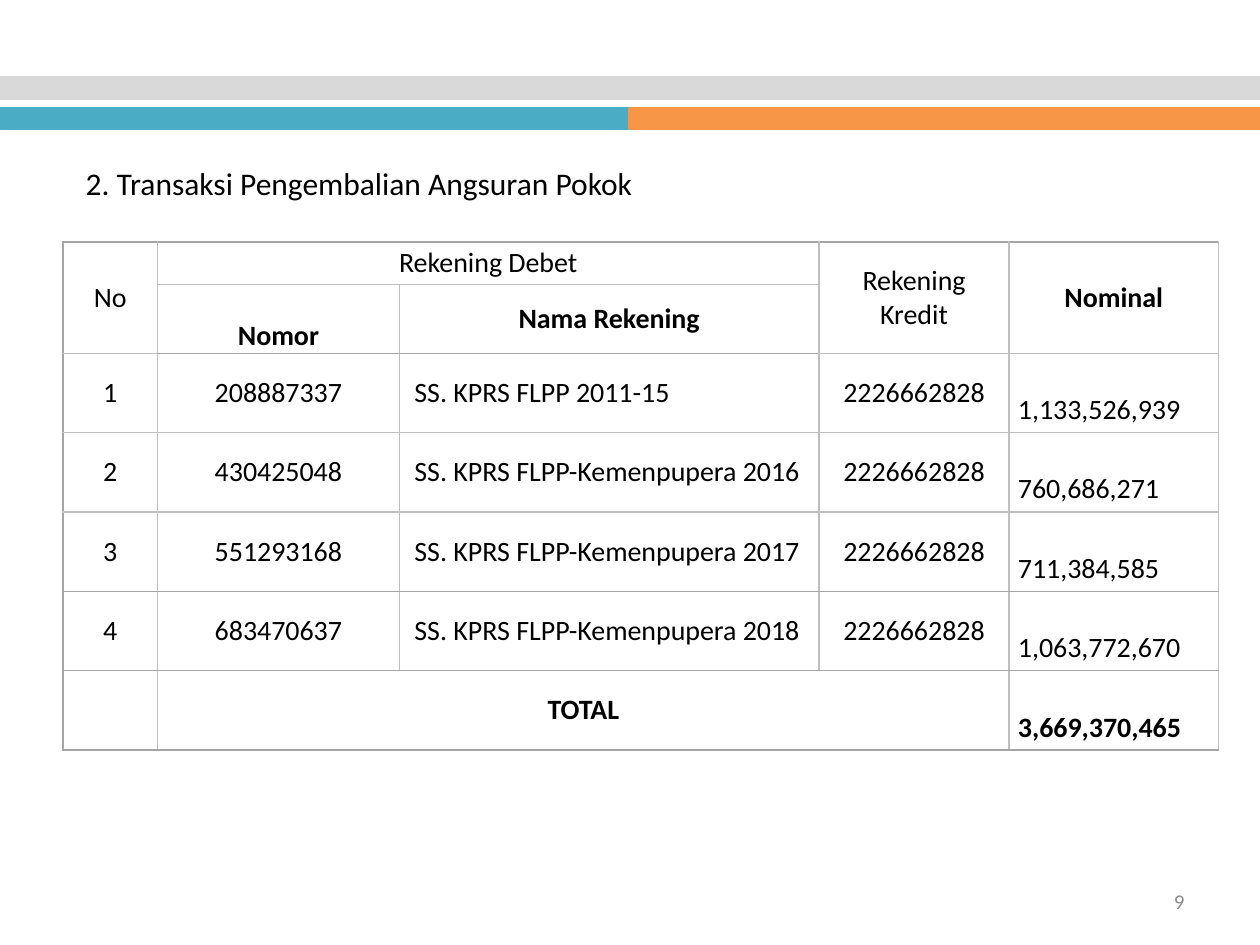
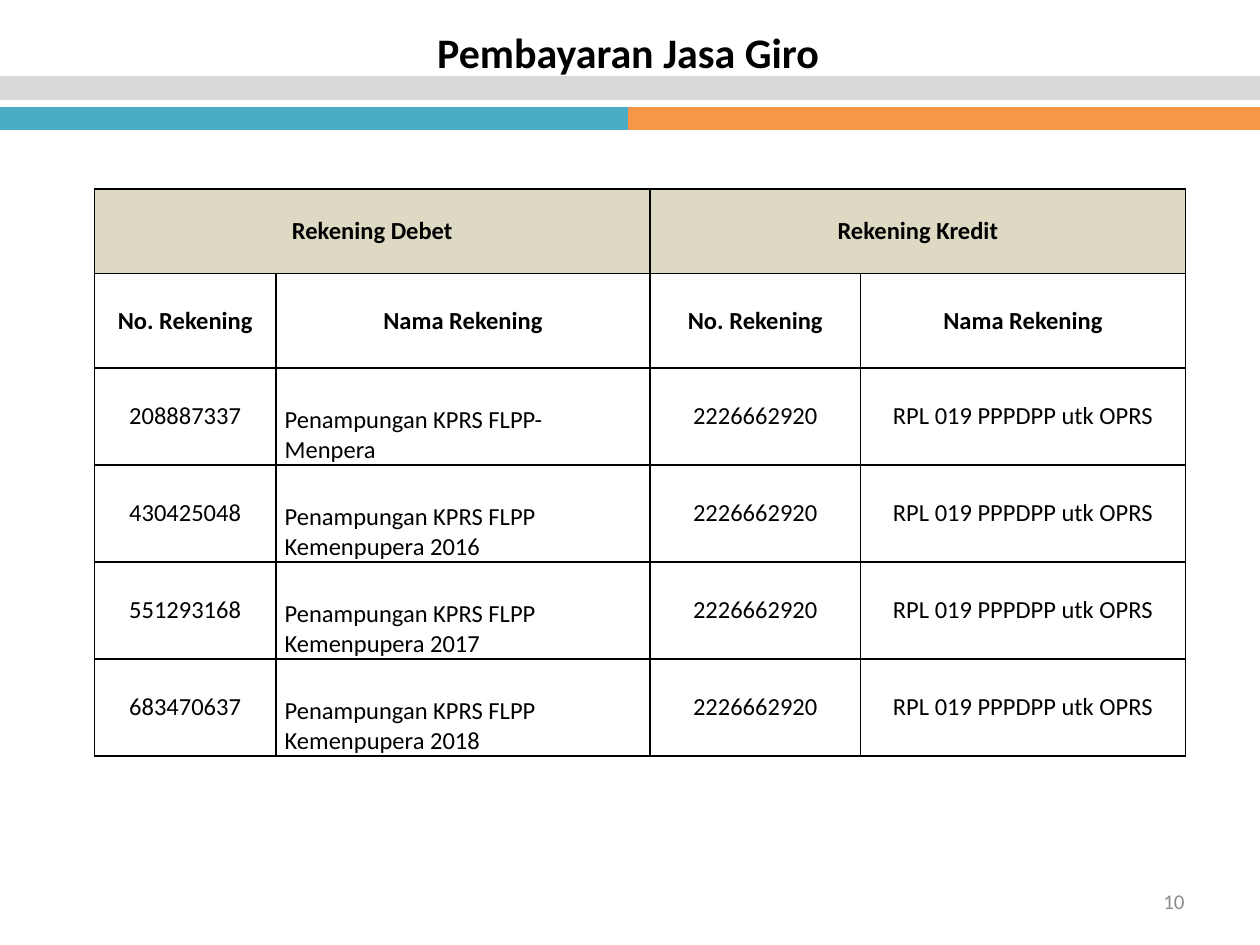
"""Build two slides on loan repayment and current account interest transfers."""
from lxml import etree
from pptx import Presentation
from pptx.dml.color import RGBColor
from pptx.enum import shapes, text
from pptx.oxml import ns
from pptx.util import Inches, Pt

TEAL = RGBColor(0x4B, 0xAC, 0xC6)
ORANGE = RGBColor(0xF7, 0x96, 0x46)
SILVER = RGBColor(0xD9, 0xD9, 0xD9)
SAND = RGBColor(0xDD, 0xD9, 0xC3)
BLACK = RGBColor(0, 0, 0)
PAGE_GRAY = RGBColor(0x8C, 0x8C, 0x8C)
RULE_LIGHT = RGBColor(0xBF, 0xBF, 0xBF)
RULE_DARK = RGBColor(0xA5, 0xA5, 0xA5)
FONT = "Calibri"

LEFT, CENTER, RIGHT = text.PP_ALIGN.LEFT, text.PP_ALIGN.CENTER, text.PP_ALIGN.RIGHT
MIDDLE, BOTTOM = text.MSO_ANCHOR.MIDDLE, text.MSO_ANCHOR.BOTTOM

FIRST_PAGE = 9
BANDS = [(0.01, 0.86, 4.99, TEAL), (5, 0.86, 5, ORANGE), (0, 0.62, 10, SILVER)]
BAND_HEIGHT = 0.16
CELL_INSET = 0.07
CENTERED = (CENTER, MIDDLE, CELL_INSET, 0)

ACCOUNTS = ["208887337", "430425048", "551293168", "683470637"]
PROGRAMS = ["SS. KPRS FLPP 2011-15"] + [
    f"SS. KPRS FLPP-Kemenpupera {year}" for year in (2016, 2017, 2018)]
AMOUNTS = ["1,133,526,939", "760,686,271", "711,384,585", "1,063,772,670"]
HOLDINGS = ["Penampungan KPRS FLPP-\nMenpera"] + [
    f"Penampungan KPRS FLPP Kemenpupera {year}" for year in (2016, 2017, 2018)]


def principal_rule(row, col):
    """Return the colour of the rule below a cell of the principal table."""
    dark = row == -1 or row >= 4 or (row == 1 and col in (1, 2))
    return RULE_DARK if dark else RULE_LIGHT


SLIDES = [
    {
        "title": ("2. Transaksi Pengembalian Angsuran Pokok", (0.58, 1.25, 5, 0.4), 18, False, LEFT),
        "corner": (0.5, 1.92),
        "columns": [0.75, 1.92, 3.33, 1.51, 1.66],
        "heights": [0.34, 0.35] + [0.63] * 5,
        "size": 16,
        "rows": [
            ["No", "Rekening Debet", "", "Rekening Kredit", "Nominal"],
            ["", "Nomor", "Nama Rekening", "", ""],
            *([str(number), account, program, "2226662828", amount]
              for number, (account, program, amount)
              in enumerate(zip(ACCOUNTS, PROGRAMS, AMOUNTS), 1)),
            ["", "TOTAL", "", "", "3,669,370,465"],
        ],
        "merges": [(0, 0, 1, 0), (0, 1, 0, 2), (0, 3, 1, 3), (0, 4, 1, 4), (6, 1, 6, 3)],
        "bold": {"Nominal", "Nomor", "Nama Rekening", "TOTAL", "3,669,370,465"},
        "header_rows": 2,
        "layouts": {2: (LEFT, MIDDLE, 0.12, 0), 4: (LEFT, MIDDLE, CELL_INSET, 0.27)},
        "exceptions": {(1, 1): (CENTER, BOTTOM, CELL_INSET, 0), (6, 1): CENTERED},
        "filled_rows": 0,
        "rule_below": principal_rule,
        "side_rules": (RULE_DARK, RULE_LIGHT),
    },
    {
        "title": ("Pembayaran Jasa Giro", (0.72, 0.16, 8.53, 0.5), 24, True, CENTER),
        "corner": (0.75, 1.5),
        "columns": [1.44, 2.97, 1.67, 2.58],
        "heights": [0.67, 0.75] + [0.77] * 4,
        "size": 14,
        "rows": [
            ["Rekening Debet", "", "Rekening Kredit", ""],
            ["No. Rekening", "Nama Rekening"] * 2,
            *([account, holding, "2226662920", "RPL 019 PPPDPP utk OPRS"]
              for account, holding in zip(ACCOUNTS, HOLDINGS)),
        ],
        "merges": [(0, 0, 0, 1), (0, 2, 0, 3)],
        "bold": {"Rekening Debet", "Rekening Kredit", "No. Rekening", "Nama Rekening"},
        "header_rows": 2,
        "layouts": {1: (LEFT, BOTTOM, CELL_INSET, 0)},
        "exceptions": {},
        "filled_rows": 1,
        "rule_below": lambda row, col: BLACK,
        "side_rules": (BLACK, BLACK),
    },
]


def style(frame, size, color=BLACK, bold=False, align=LEFT):
    """Format every paragraph of a text frame."""
    for para in frame.paragraphs:
        para.alignment = align
        para.font.name, para.font.size = FONT, Pt(size)
        para.font.color.rgb, para.font.bold = color, bold


def add_bands(page, layout):
    """Draw the header bands and hand them to the shared layout."""
    for number, (left, top, width, color) in enumerate(BANDS, 20):
        band = page.shapes.add_shape(shapes.MSO_SHAPE.RECTANGLE, Inches(left), Inches(top),
                                     Inches(width), Inches(BAND_HEIGHT))
        band.shadow.inherit = False
        band.fill.solid()
        band.fill.fore_color.rgb = band.line.color.rgb = color
        band.line.width = Pt(2)
        band.element.nvSpPr.cNvPr.set("id", str(number))
        layout.shapes.element.append(band.element)


def add_title(page, wording, place, size, bold, align):
    """Place and format the title placeholder."""
    title = page.shapes.title
    title.left, title.top, title.width, title.height = map(Inches, place)
    frame = title.text_frame
    frame.text = wording
    frame.word_wrap = True
    frame.auto_size = text.MSO_AUTO_SIZE.NONE
    frame.vertical_anchor = text.MSO_ANCHOR.TOP
    style(frame, size, bold=bold, align=align)


def add_page_number(page, number):
    """Write the page number in the lower right corner."""
    box = page.shapes.add_textbox(Inches(7.17), Inches(6.95), Inches(2.33), Inches(0.4))
    frame = box.text_frame
    frame.text = str(number)
    frame.word_wrap = True
    frame.vertical_anchor = MIDDLE
    style(frame, 12, PAGE_GRAY, align=RIGHT)


def set_borders(cell, colors):
    """Draw one-point borders in left, right, top, bottom order."""
    properties = cell._tc.get_or_add_tcPr()
    for side, color in zip("LRTB", colors):
        line = etree.SubElement(properties, ns.qn(f"a:ln{side}"), w=str(Pt(1)))
        fill = etree.SubElement(line, ns.qn("a:solidFill"))
        etree.SubElement(fill, ns.qn("a:srgbClr"), val=str(color))


def add_grid(page, content):
    """Build the account table of one slide."""
    columns, heights, rows = content["columns"], content["heights"], content["rows"]
    left, top = content["corner"]
    grid = page.shapes.add_table(len(rows), len(columns), Inches(left), Inches(top),
                                 Inches(sum(columns)), Inches(sum(heights))).table
    grid.first_row = grid.horz_banding = False
    for column, width in zip(grid.columns, columns):
        column.width = Inches(width)
    for line, height in zip(grid.rows, heights):
        line.height = Inches(height)

    outer_left, outer_right = content["side_rules"]
    rule_below = content["rule_below"]
    inner = rule_below(0, 0)
    for row, wordings in enumerate(rows):
        for col, wording in enumerate(wordings):
            cell = grid.cell(row, col)
            layout = CENTERED if row < content["header_rows"] else content["layouts"].get(col, CENTERED)
            align, anchor, inset, lead = content["exceptions"].get((row, col), layout)
            cell.text = wording
            cell.vertical_anchor = anchor
            cell.margin_left, cell.margin_right = Inches(inset), Inches(CELL_INSET)
            cell.margin_top, cell.margin_bottom = Inches(lead), 0
            style(cell.text_frame, content["size"], bold=wording in content["bold"], align=align)
            set_borders(cell, (outer_left if col == 0 else inner,
                               outer_right if col == len(columns) - 1 else inner,
                               rule_below(row - 1, col), rule_below(row, col)))
            if row < content["filled_rows"]:
                cell.fill.solid()
                cell.fill.fore_color.rgb = SAND
            else:
                cell.fill.background()
    for first_row, first_col, last_row, last_col in content["merges"]:
        grid.cell(first_row, first_col).merge(grid.cell(last_row, last_col))


def main():
    """Assemble and save the deck."""
    deck = Presentation()
    deck.slide_width, deck.slide_height = Inches(10), Inches(7.5)
    layout = deck.slide_layouts[5]
    for number, content in enumerate(SLIDES, FIRST_PAGE):
        page = deck.slides.add_slide(layout)
        if number == FIRST_PAGE:
            add_bands(page, layout)
        add_title(page, *content["title"])
        add_grid(page, content)
        add_page_number(page, number)
    deck.save("out.pptx")


if __name__ == "__main__":
    main()
